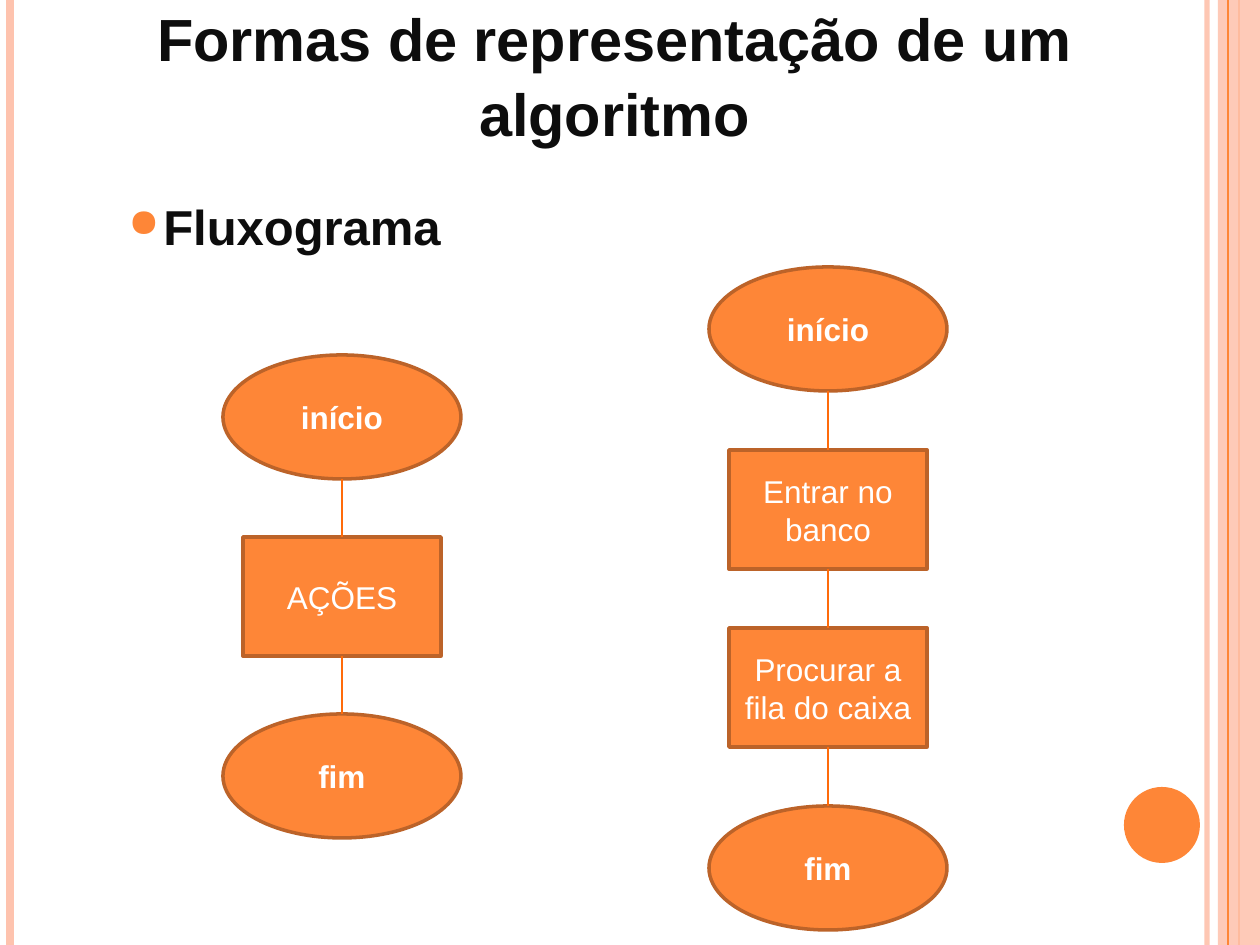
from dataclasses import dataclass

from lxml import etree
from pptx import Presentation
from pptx.dml.color import RGBColor
from pptx.enum.shapes import MSO_CONNECTOR, MSO_SHAPE
from pptx.enum.text import MSO_ANCHOR, MSO_AUTO_SIZE, PP_ALIGN
from pptx.oxml.ns import qn
from pptx.util import Pt

STRAIGHT = MSO_CONNECTOR.STRAIGHT
RECTANGLE, OVAL = MSO_SHAPE.RECTANGLE, MSO_SHAPE.OVAL
CENTER, LEFT = PP_ALIGN.CENTER, PP_ALIGN.LEFT
TOP, MIDDLE, BOTTOM = MSO_ANCHOR.TOP, MSO_ANCHOR.MIDDLE, MSO_ANCHOR.BOTTOM
EMU_PER_PX = 914400 / 126
PAGE_W, PAGE_H = 1260, 945
TITLE_ONLY = 5
SITE_TOP, SITE_BOTTOM = 0, 2


@dataclass(frozen=True)
class Theme:
    font: str = "Arial"
    ink: str = "0D0D0D"
    white: str = "FFFFFF"
    orange: str = "FE8637"
    outline: str = "BC6329"
    link: str = "FF6B0A"
    peach: str = "FEC3AE"
    title_size: float = 34
    topic_size: float = 28
    node_size: float = 18


THEME = Theme()


def px(*lengths):
    return [round(length * EMU_PER_PX) for length in lengths]


def rgb(code):
    return RGBColor.from_string(code)


def set_opacity(fill_parent, percent):
    color = fill_parent.find(".//" + qn("a:srgbClr"))
    etree.SubElement(color, qn("a:alpha"), val=str(percent * 1000))


def write(frame, text, size, color, bold, align, anchor):
    frame.text = text
    frame.word_wrap = True
    frame.auto_size = MSO_AUTO_SIZE.NONE
    frame.vertical_anchor = anchor
    para = frame.paragraphs[0]
    para.alignment = align
    font = para.runs[0].font
    font.name, font.size, font.bold = THEME.font, Pt(size), bold
    font.color.rgb = rgb(color)
    return para


def add_line(page, start, end, color, width):
    line = page.shapes.add_connector(STRAIGHT, *px(*start, *end))
    line.line.color.rgb = rgb(color)
    line.line.width = Pt(width)
    etree.SubElement(line._element.spPr, qn("a:effectLst"))
    return line


def add_filled(page, kind, box, color):
    shape = page.shapes.add_shape(kind, *px(*box))
    shape.shadow.inherit = False
    shape.fill.solid()
    shape.fill.fore_color.rgb = rgb(color)
    shape.line.fill.background()
    return shape


def add_stripe(page, x, color, width):
    return add_line(page, (x, 0), (x, PAGE_H), color, width)


def add_frame(page, box):
    """Side stripes and the round accent, placed inside the page box."""
    left, top, width, height = box
    right = left + width
    inner = add_stripe(page, right - 53, THEME.peach, 3)
    set_opacity(inner._element.spPr, 93)
    add_stripe(page, left + 10, THEME.peach, 4.5)
    add_stripe(page, right - 21, THEME.orange, 1.5)
    band = add_filled(page, RECTANGLE, (right - 42, top, 42, height), THEME.peach)
    set_opacity(band._element.spPr, 87)
    add_stripe(page, right - 32, THEME.orange, 0.75)
    add_filled(page, OVAL, (right - 136, top + height - 158, 76, 76), THEME.orange)


def add_title(page, box, text):
    title = page.shapes.title
    title.left, title.top, title.width, title.height = px(*box)
    para = write(title.text_frame, text, THEME.title_size, THEME.ink,
                 True, CENTER, BOTTOM)
    para.line_spacing = 1.06


def add_topic(page, box, text):
    topic = page.shapes.add_textbox(*px(*box))
    para = write(topic.text_frame, text, THEME.topic_size, THEME.ink,
                 True, LEFT, TOP)
    para.space_before = Pt(2.5)
    props = para._p.get_or_add_pPr()
    margin, indent = px(88, -35)
    props.set("marL", str(margin))
    props.set("indent", str(indent))
    color = etree.SubElement(props, qn("a:buClr"))
    etree.SubElement(color, qn("a:srgbClr"), val=THEME.orange)
    etree.SubElement(props, qn("a:buSzPct"), val="80000")
    etree.SubElement(props, qn("a:buChar"), char="●")


def add_node(page, kind, box, text):
    node = add_filled(page, kind, box, THEME.orange)
    node.line.color.rgb = rgb(THEME.outline)
    node.line.width = Pt(2)
    write(node.text_frame, text, THEME.node_size, THEME.white,
          kind == OVAL, CENTER, MIDDLE)
    return node


def add_flowchart(page, box, steps):
    """Stack the steps between two ovals, with equal gaps filling the box."""
    left, top, width, height = box
    oval_size, step_size = (width, 124), (198, 119)
    gap = (height - 2 * oval_size[1] - len(steps) * step_size[1]) / (len(steps) + 1)
    center = left + width / 2
    items = [(OVAL, "início"), *((RECTANGLE, step) for step in steps), (OVAL, "fim")]
    previous = None
    y = top
    for kind, text in items:
        node_w, node_h = oval_size if kind == OVAL else step_size
        node = add_node(page, kind, (center - node_w / 2, y, node_w, node_h), text)
        if previous is not None:
            link = add_line(page, (center, y - gap), (center, y), THEME.link, 1)
            if previous.auto_shape_type == RECTANGLE:
                link.begin_connect(previous, SITE_BOTTOM)
            link.end_connect(node, SITE_TOP)
        previous = node
        y += node_h + gap


def main():
    deck = Presentation()
    deck.slide_width, deck.slide_height = px(PAGE_W, PAGE_H)
    page = deck.slides.add_slide(deck.slide_layouts[TITLE_ONLY])
    add_frame(page, (0, 0, PAGE_W, PAGE_H))
    add_title(page, (14, -2, 1201, 157), "Formas de representação de um algoritmo")
    add_topic(page, (63, 190, 478, 93), "Fluxograma")
    add_flowchart(page, (223, 355, 238, 483), ["AÇÕES"])
    add_flowchart(page, (709, 267, 238, 663),
                  ["Entrar no banco", "Procurar a fila do caixa"])
    deck.save("out.pptx")


if __name__ == "__main__":
    main()
